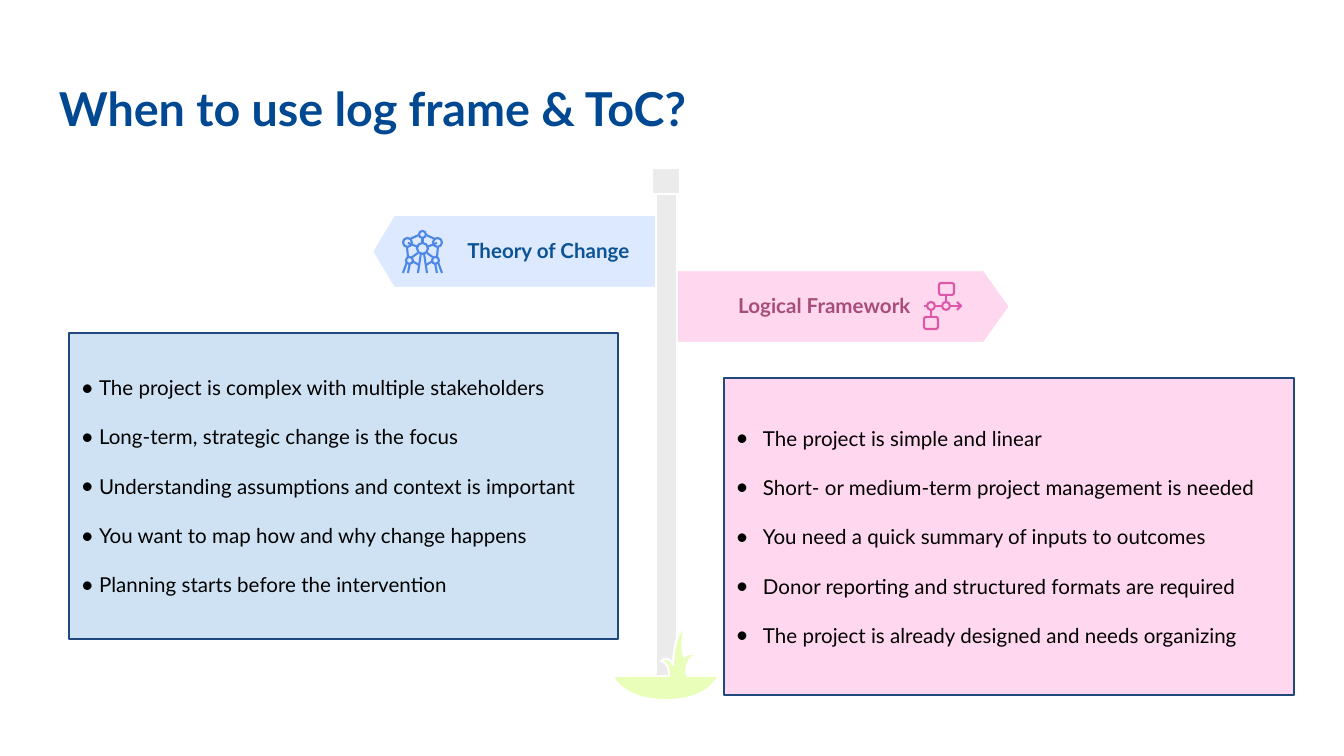
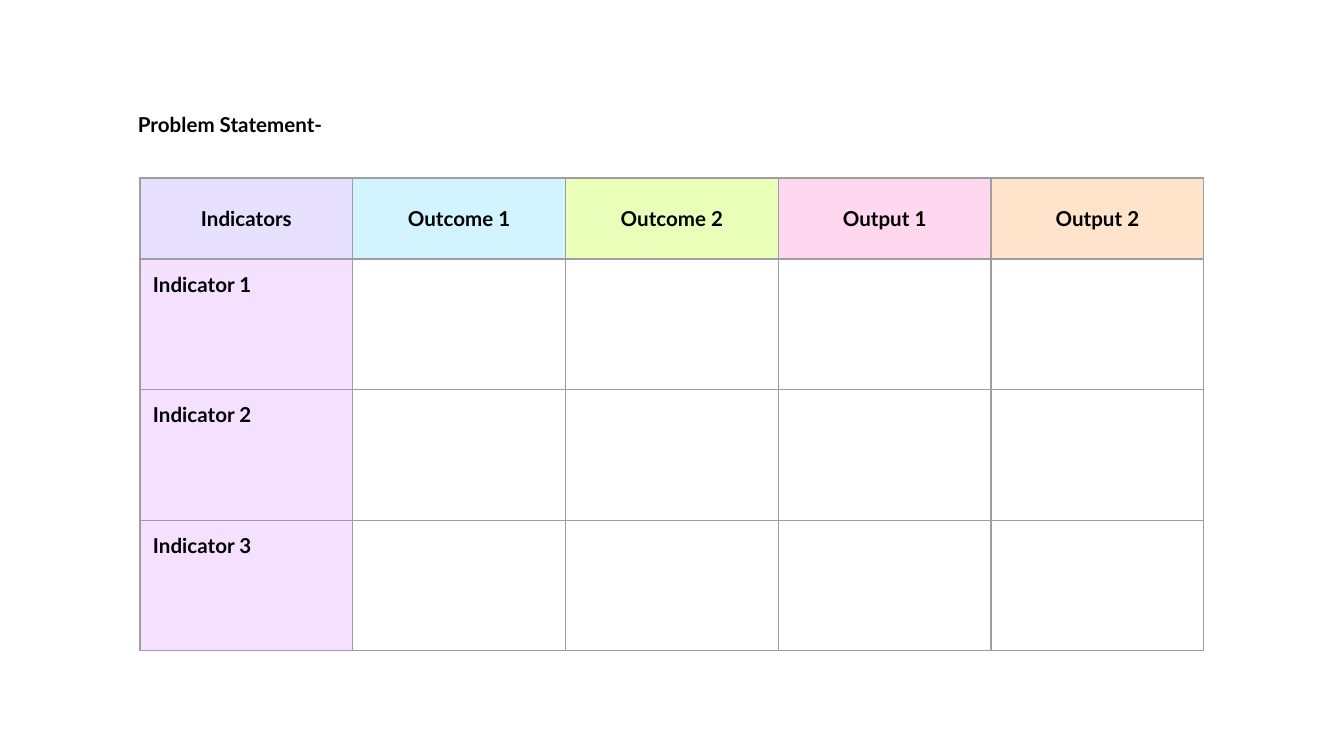
from lxml import etree
from pptx import Presentation
from pptx import util as u
from pptx.dml.color import RGBColor
from pptx.enum import shapes, text
from pptx.oxml.ns import qn

PX = 914400 / 134.4
FINE = 100  # outline points are kept to a hundredth of a px
FONT = "Lato"
BLACK, WHITE, NAVY = "000000", "FFFFFF", "1F497D"
BLUE, PINK, GREEN, GREY = "DCE9FF", "FFD7EF", "E9FFB9", "EBEBEB"
EDGE = 1.12  # line width of the drawn parts, in points
PAD = 13

TOC_USES = [
    "The project is complex with multiple stakeholders",
    "Long-term, strategic change is the focus",
    "Understanding assumptions and context is important",
    "You want to map how and why change happens",
    "Planning starts before the intervention",
]
FRAME_USES = [
    "The project is simple and linear",
    "Short- or medium-term project management is needed",
    "You need a quick summary of inputs to outcomes",
    "Donor reporting and structured formats are required",
    "The project is already designed and needs organizing",
]
HEADERS = [("Indicators", "E7E1FF"), ("Outcome 1", "D1F4FF"), ("Outcome 2", GREEN),
           ("Output 1", PINK), ("Output 2", "FFE4CB")]
INDICATORS = ["Indicator 1", "Indicator 2", "Indicator 3"]


# Shared helpers

def px(length):
    return u.Emu(round(length * PX))


def rgb(value):
    return RGBColor.from_string(value)


def paint(shape, fill=None, line=None, width=EDGE):
    shape.shadow.inherit = False
    if fill:
        shape.fill.solid()
        shape.fill.fore_color.rgb = rgb(fill)
    else:
        shape.fill.background()
    if line:
        shape.line.color.rgb = rgb(line)
        shape.line.width = u.Pt(width)
    else:
        shape.line.fill.background()
    return shape


def is_bend(step):
    return isinstance(step[0], tuple)


def merge_bends(outline, steps):
    """Turn each run of three points that stands for a bend into one curve."""
    nodes = iter(outline.findall(qn("a:lnTo")))
    for step in steps:
        node = next(nodes)
        if is_bend(step):
            node.tag = qn("a:cubicBezTo")
            for _ in range(2):
                other = next(nodes)
                node.append(other[0])
                outline.remove(other)


def add_outline(page, left, top, *contours, **colours):
    """Draw contours: a start, then points or bends (control, control, end)."""
    def place(point):
        return round((left + point[0]) * FINE), round((top + point[1]) * FINE)

    builder = page.shapes.build_freeform(*place(contours[0][0]), scale=PX / FINE)
    for index, (start, *steps) in enumerate(contours):
        if index:
            builder.move_to(*place(start))
        points = []
        for step in steps:
            points += step if is_bend(step) else [step]
        builder.add_line_segments([place(point) for point in points],
                                  close=points[-1] == start)
    shape = builder.convert_to_shape()
    outline = next(shape._element.iter(qn("a:path")))
    merge_bends(outline, [step for contour in contours for step in contour[1:]])
    return paint(shape, **colours)


def rounded(x, y, width, height, radius):
    """Contour of a box with round corners, or of a circle."""
    right, bottom, near = x + width, y + height, radius * 0.45
    return [
        (x + radius, y), (right - radius, y),
        ((right - near, y), (right, y + near), (right, y + radius)),
        (right, bottom - radius),
        ((right, bottom - near), (right - near, bottom), (right - radius, bottom)),
        (x + radius, bottom),
        ((x + near, bottom), (x, bottom - near), (x, bottom - radius)),
        (x, y + radius),
        ((x, y + near), (x + near, y), (x + radius, y)),
    ]


def circle(x, y, size):
    start, *steps = rounded(x, y, size, size, size / 2)
    return [start] + [step for step in steps if is_bend(step)]


def box_contour(x, y, width, height):
    return [(x, y), (x + width, y), (x + width, y + height), (x, y + height), (x, y)]


def add_bullet(para, margin, hang):
    props = para._p.get_or_add_pPr()
    props.set("marL", str(px(margin)))
    props.set("indent", str(px(-hang)))
    colour = etree.SubElement(props, qn("a:buClr"))
    etree.SubElement(colour, qn("a:srgbClr"), val=BLACK)
    etree.SubElement(props, qn("a:buSzPct"), val="85000")
    etree.SubElement(props, qn("a:buFont"), typeface=FONT)
    etree.SubElement(props, qn("a:buChar"), char="●")


def write(frame, *lines, size=11, colour=BLACK, bold=False, align="LEFT",
          gap=0, bullet=None):
    for index, line in enumerate(lines):
        para = frame.add_paragraph() if index else frame.paragraphs[0]
        para.alignment = getattr(text.PP_ALIGN, align)
        if index and gap:
            para.space_before = u.Pt(gap)
        if bullet:
            add_bullet(para, *bullet)
        span = para.add_run()
        span.text = line
        span.font.name = FONT
        span.font.size = u.Pt(size)
        span.font.bold = bold
        span.font.color.rgb = rgb(colour)


def set_frame(frame, anchor="TOP", pad_y=PAD):
    frame.word_wrap = True
    frame.vertical_anchor = getattr(text.MSO_ANCHOR, anchor)
    frame.margin_left = frame.margin_right = px(PAD)
    frame.margin_top = frame.margin_bottom = px(pad_y)
    return frame


def add_label(page, box, line, anchor="TOP", pad_y=PAD, **style):
    frame = page.shapes.add_textbox(*map(px, box)).text_frame
    write(set_frame(frame, anchor, pad_y), line, bold=True, **style)


# Parts of the signpost slide

def add_sign(page, box, tip, fill, points_left=False):
    left, top, width, height = box
    edge = [(0, 0), (width - tip, 0), (width, height / 2), (width - tip, height), (0, height)]
    if points_left:
        edge = [(width - x, y) for x, y in edge]
    add_outline(page, left, top, edge + edge[:1], fill=fill)
    add_outline(page, left, top, edge, line=WHITE)


def add_post(page, box):
    left, top, width, height = box
    cap, inset, hidden = 26, 4, 37
    right = width - 3
    cap_box = box_contour(0, 0, width, cap)
    pole = box_contour(inset, cap, right - inset, height - cap)
    add_outline(page, left, top, pole, fill=GREY)
    add_outline(page, left, top, cap_box, fill=GREY)
    add_outline(page, left, top, [(right, cap), (right, height - hidden)],
                [(inset, cap), (inset, height - 2)], line=WHITE)
    add_outline(page, left, top, cap_box, line=WHITE)


def add_grass(page, left, top):
    stem = ((55, 40), (52, 36), (47, 35))
    blades = [
        ((56, 28), (59, 39), (59, 39)),
        ((59, 39), (59, 9), (71, 0)),
        ((69, 7), (67, 20), (70, 31)),
        ((74, 26), (82, 27), (83, 32)),
        ((77, 27), (70, 40), (73, 50)),
    ]
    mound = [(103, 50), ((103, 50), (95, 73), (52, 73)), ((9, 73), (0, 50), (0, 50))]
    add_outline(page, left, top, [(47, 35), *blades, *mound, (55, 50), stem], fill=GREEN)
    add_outline(page, left, top, [(55, 50), stem, *blades],
                [(103, 50), (73, 50)], [(0, 50), (55, 50)], line=WHITE)


def add_network_icon(page, left, top):
    width = 39
    side_nodes = [(0, 7, 9), (3, 26, 7)]
    side_links = [((0, 42), (4, 31)), ((7, 32), (5, 42)), ((8, 27), (15, 22)),
                  ((4, 16), (5, 26)), ((16, 34), (9, 30)), ((7, 8), (16, 4)),
                  ((15, 16), (5, 12)), ((15, 42), (18, 22))]
    links = side_links + [[(width - x, y) for x, y in link] for link in side_links]
    links.append([(19.5, 7), (19.5, 12)])
    nodes = [(16, 0, 7), (14, 12, 11)] + side_nodes
    nodes += [(width - x - size, y, size) for x, y, size in side_nodes]
    add_outline(page, left, top, *links, *[circle(*node) for node in nodes], line="4E88E7")


def add_flow_icon(page, left, top):
    links = [[(0, 23), (3, 23)], [(10, 23), (18, 23)], [(26, 23), (37, 23)],
             [(33, 19), (37, 23), (33, 27)], [(22, 19), (22, 12)], [(7, 27), (7, 34)]]
    add_outline(page, left, top, *links, circle(3, 19, 8), circle(18, 19, 8),
                rounded(15, 0, 15, 12, 2), rounded(0, 34, 14, 12, 2), line="DE58A9")


def add_uses(page, box, lines, fill, bullet):
    panel = page.shapes.add_shape(shapes.MSO_SHAPE.RECTANGLE, *map(px, box))
    paint(panel, fill=fill, line=NAVY, width=0.75)
    write(set_frame(panel.text_frame, "MIDDLE"), *lines, gap=13.2, bullet=bullet)


def build_signpost(page):
    add_sign(page, (372, 215, 283, 73), 22, BLUE, points_left=True)
    add_post(page, (652, 168, 28, 508))
    add_grass(page, 614, 626)
    add_sign(page, (678, 270, 332, 73), 26, PINK)
    add_network_icon(page, 403, 231)
    add_flow_icon(page, 924, 283)
    add_label(page, (46, 65, 1253, 85), "When to use log frame & ToC?",
              anchor="MIDDLE", pad_y=7, size=25, colour="004892")
    add_uses(page, (69, 333, 549, 306), TOC_USES, "CFE2F3", (17, 19))
    add_uses(page, (724, 378, 570, 317), FRAME_USES, PINK, (26, 27))
    add_label(page, (328, 226, 441, 52), "Theory of Change", colour="0B5394", align="CENTER")
    add_label(page, (604, 281, 441, 52), "Logical Framework", colour="A64D79", align="CENTER")


# Parts of the indicator slide

def format_cell(cell, fill=None):
    props = cell._tc.get_or_add_tcPr()
    for side in ("lnL", "lnR", "lnT", "lnB"):
        border = etree.SubElement(props, qn("a:" + side), w=str(u.Pt(0.75)))
        solid = etree.SubElement(border, qn("a:solidFill"))
        etree.SubElement(solid, qn("a:srgbClr"), val="9E9E9E")
    if fill:
        cell.fill.solid()
        cell.fill.fore_color.rgb = rgb(fill)
    else:
        cell.fill.background()
    cell.margin_left = cell.margin_right = px(PAD)
    cell.margin_top = cell.margin_bottom = px(PAD)


def add_indicator_table(page, box, header=81):
    left, top, width, height = box
    table = page.shapes.add_table(len(INDICATORS) + 1, len(HEADERS),
                                  *map(px, box)).table
    table.first_row = table.horz_banding = False
    for index, row in enumerate(table.rows):
        row.height = px((height - header) / len(INDICATORS) if index else header)
    for index, (name, fill) in enumerate(HEADERS):
        table.columns[index].width = px(width / len(HEADERS))
        cell = table.cell(0, index)
        format_cell(cell, fill)
        cell.vertical_anchor = text.MSO_ANCHOR.MIDDLE
        write(cell.text_frame, name, bold=True, align="CENTER")
    for index, name in enumerate(INDICATORS, 1):
        for position in range(len(HEADERS)):
            format_cell(table.cell(index, position), None if position else "F5E0FF")
        write(table.cell(index, 0).text_frame, name, bold=True)


def build_indicators(page):
    add_indicator_table(page, (140, 178, 1064, 473))
    add_label(page, (125, 100, 538, 58), "Problem Statement-")


def main():
    deck = Presentation()
    deck.slide_width, deck.slide_height = px(1344), px(756)
    for build in (build_signpost, build_indicators):
        build(deck.slides.add_slide(deck.slide_layouts[6]))
    deck.save("out.pptx")


if __name__ == "__main__":
    main()
